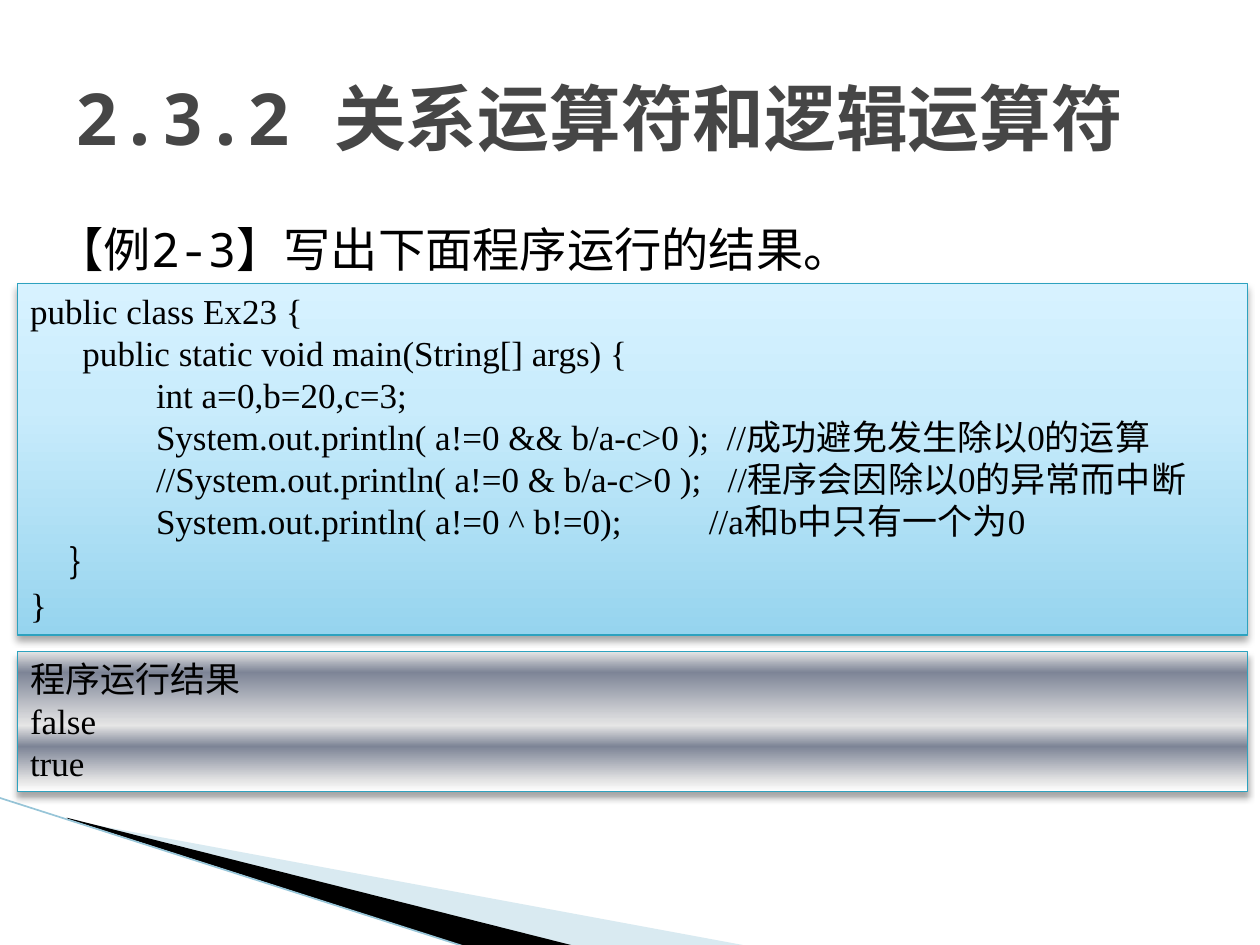
from dataclasses import dataclass

import pptx
import pptx.dml.color
import pptx.enum.lang
import pptx.enum.shapes
import pptx.enum.text
import pptx.oxml
import pptx.oxml.ns
import pptx.util
from pptx.util import Inches


@dataclass(frozen=True)
class Theme:
    heading_font: str = "Noto Sans Mono"
    code_font: str = "Times New Roman"
    title_size: float = 41
    body_size: float = 27
    code_size: float = 20
    title_color: str = "464646"
    text_color: str = "000000"
    border: str = "2DA2BF"
    swoosh_light: str = "A0CBDC"
    swoosh_dark: str = "000000"
    swoosh_line: str = "97C5D8"
    code_gradient: tuple = ((0, "96D4EE"), (65, "C9ECFC"), (100, "D7F2FF"))
    result_gradient: tuple = (
        (0, "FFFFFF"), (7, "E6E6E6"), (32, "7D8496"),
        (47, "E6E6E6"), (85, "7D8496"), (100, "E6E6E6"),
    )


THEME = Theme()
CODE = [
    "public class Ex23 {",
    "      public static void main(String[] args) {",
    "\tint a=0,b=20,c=3;",
    "\tSystem.out.println( a!=0 && b/a-c>0 );  //成功避免发生除以0的运算",
    "\t//System.out.println( a!=0 & b/a-c>0 );   //程序会因除以0的异常而中断",
    "\tSystem.out.println( a!=0 ^ b!=0);          //a和b中只有一个为0",
    "     ｝",
    "}",
]
RESULT = ["程序运行结果", "false", "true"]


def rgb(color):
    return pptx.dml.color.RGBColor.from_string(color)


def xml(content):
    """Parse one DrawingML element, given without its namespace declaration."""
    name, rest = content.split(">", 1)
    closing = "/" if name.endswith("/") else ""
    name = name.removesuffix("/")
    return pptx.oxml.parse_xml(f"{name} {pptx.oxml.ns.nsdecls('a')}{closing}>{rest}")


def write_text(shape, lines, *, font, size, color, bold=False, bullet=True,
               tab=None, anchor=pptx.enum.text.MSO_ANCHOR.TOP,
               auto_size=pptx.enum.text.MSO_AUTO_SIZE.NONE):
    frame = shape.text_frame
    frame.word_wrap = True
    frame.auto_size = auto_size
    frame.vertical_anchor = anchor
    for index, line in enumerate(lines):
        paragraph = frame.add_paragraph() if index else frame.paragraphs[0]
        paragraph.alignment = pptx.enum.text.PP_ALIGN.LEFT
        paragraph.space_before = pptx.util.Pt(0)
        properties = paragraph._p.get_or_add_pPr()
        if not bullet:
            properties.set("marL", "0")
            properties.set("indent", "0")
            properties.append(xml("<a:buNone/>"))
        if tab is not None:
            properties.append(xml(f'<a:tabLst><a:tab pos="{tab}" algn="l"/></a:tabLst>'))
        run = paragraph.add_run()
        run.text = line
        run.font.name = font
        run.font.size = pptx.util.Pt(size)
        run.font.bold = bold
        run.font.color.rgb = rgb(color)
        run.font.language_id = pptx.enum.lang.MSO_LANGUAGE_ID.SIMPLIFIED_CHINESE


def place(shape, left, top, width, height):
    shape.left, shape.top = Inches(left), Inches(top)
    shape.width, shape.height = Inches(width), Inches(height)


def add_swoosh(slide, points, color, opacity=100):
    """Draw a filled outline through points given in inches."""
    corners = [(Inches(x), Inches(y)) for x, y in points]
    builder = slide.shapes.build_freeform(*corners[0])
    builder.add_line_segments(corners[1:], close=True)
    shape = builder.convert_to_shape()
    shape.shadow.inherit = False
    shape.line.fill.background()
    shape.fill.solid()
    shape.fill.fore_color.rgb = rgb(color)
    if opacity < 100:
        fill_color = shape._element.spPr.find(".//" + pptx.oxml.ns.qn("a:srgbClr"))
        fill_color.append(xml(f'<a:alpha val="{opacity * 1000}"/>'))


def add_edge(slide, start, end, color, width):
    edge = slide.shapes.add_connector(
        pptx.enum.shapes.MSO_CONNECTOR.STRAIGHT, *map(Inches, start + end))
    edge.line.color.rgb = rgb(color)
    edge.line.width = pptx.util.Pt(width)
    edge._element.spPr.append(xml("<a:effectLst/>"))


def add_panel(slide, top, height, gradient, lines):
    """Add a full-width gradient panel with a soft shadow below it."""
    panel = slide.shapes.add_shape(
        pptx.enum.shapes.MSO_SHAPE.RECTANGLE,
        Inches(0.14), Inches(top), Inches(9.76), Inches(height))
    panel.line.color.rgb = rgb(THEME.border)
    panel.line.width = pptx.util.Pt(0.75)
    stops = "".join(
        f'<a:gs pos="{position * 1000}"><a:srgbClr val="{color}"/></a:gs>'
        for position, color in gradient)
    properties = panel._element.spPr
    properties.find(pptx.oxml.ns.qn("a:prstGeom")).addnext(xml(
        f'<a:gradFill><a:gsLst>{stops}</a:gsLst>'
        '<a:lin ang="16200000" scaled="0"/></a:gradFill>'))
    blur, distance = pptx.util.Pt(4), pptx.util.Pt(3)
    properties.append(xml(
        f'<a:effectLst><a:outerShdw blurRad="{blur}" dist="{distance}" dir="5400000" '
        'rotWithShape="0"><a:srgbClr val="000000"><a:alpha val="35000"/></a:srgbClr>'
        '</a:outerShdw></a:effectLst>'))
    write_text(panel, lines, font=THEME.code_font, size=THEME.code_size,
               color=THEME.text_color, tab=Inches(1),
               auto_size=pptx.enum.text.MSO_AUTO_SIZE.SHAPE_TO_FIT_TEXT)


def main():
    presentation = pptx.Presentation()
    presentation.slide_width, presentation.slide_height = Inches(10), Inches(7.5)
    slide = presentation.slides.add_slide(presentation.slide_layouts[1])

    title, body = slide.placeholders
    place(title, 0.5, 0.3, 9, 1.25)
    write_text(title, ["2.3.2 关系运算符和逻辑运算符"], font=THEME.heading_font,
               size=THEME.title_size, color=THEME.title_color, bold=True,
               anchor=pptx.enum.text.MSO_ANCHOR.MIDDLE)
    place(body, 0.35, 1.7, 8.92, 0.74)
    write_text(body, ["【例2-3】写出下面程序运行的结果。"], font=THEME.heading_font,
               size=THEME.body_size, color=THEME.text_color, bullet=False)

    add_swoosh(slide, [(0.55, 6.51), (5.95, 7.51), (4.56, 7.51), (0.55, 6.5)],
               THEME.swoosh_light, opacity=40)
    add_swoosh(slide, [(0.53, 6.49), (4.57, 7.51), (3.72, 7.52), (0.54, 6.5)],
               THEME.swoosh_dark)
    add_edge(slide, (-0.01, 6.33), (3.71, 7.52), THEME.swoosh_line, 0.95)

    add_panel(slide, 2.25, 2.79, THEME.code_gradient, CODE)
    add_panel(slide, 5.17, 1.11, THEME.result_gradient, RESULT)
    presentation.save("out.pptx")


if __name__ == "__main__":
    main()
